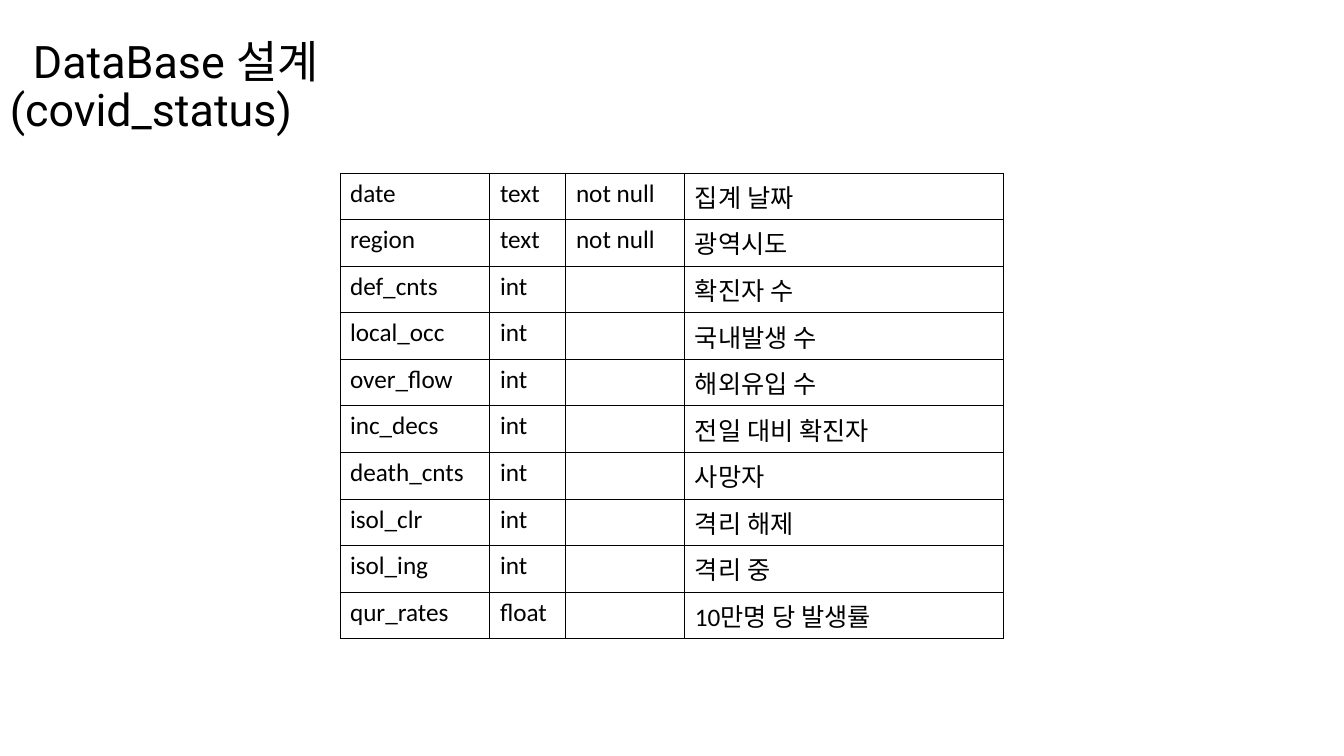
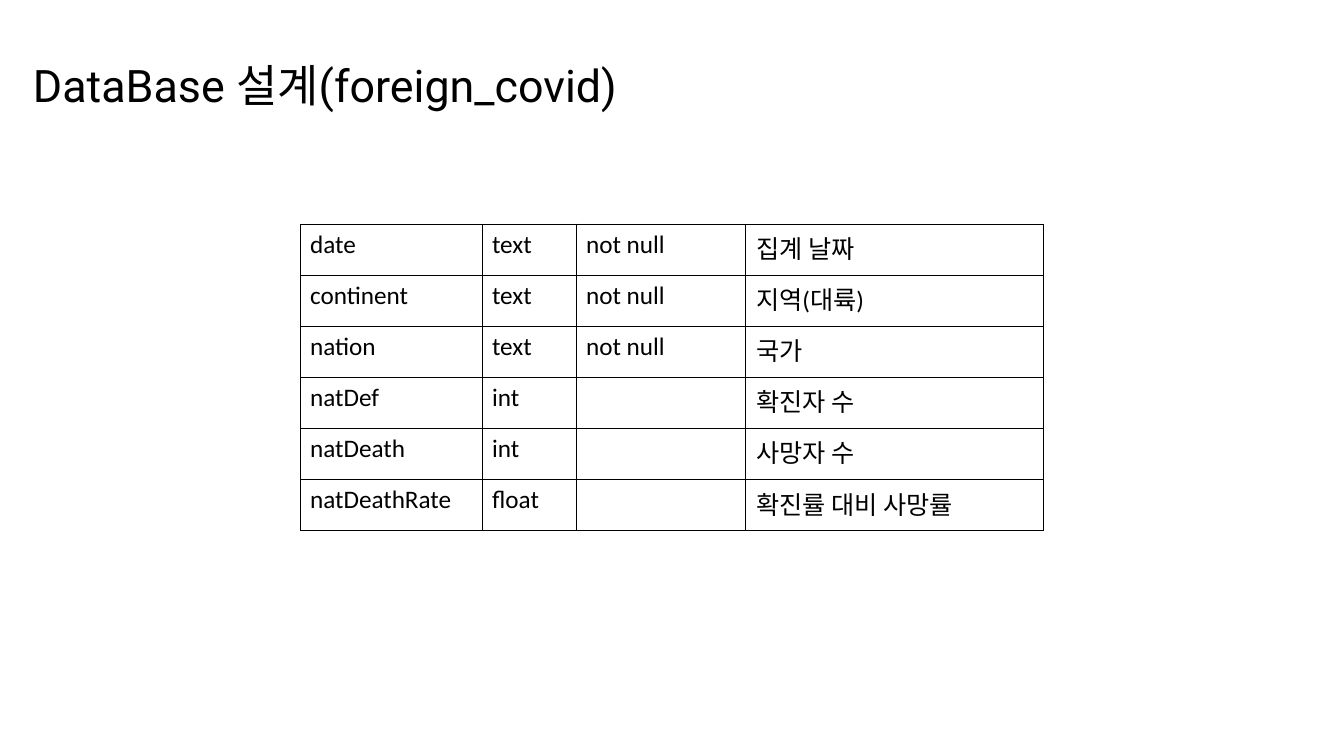
from pptx import Presentation
from pptx.dml.color import RGBColor
from pptx.enum.text import MSO_ANCHOR
from pptx.oxml import parse_xml
from pptx.oxml.ns import nsdecls
from pptx.util import Pt

EMU_PER_PX = 914400 / 100.8
BLACK = "000000"
TITLE_FONT, TABLE_FONT = "Roboto", "Calibri"
TITLE_TOP, TITLE_HEIGHT, TITLE_INDENT = 54, 68, 23
BORDER = Pt(0.75)


def px(length):
    return round(length * EMU_PER_PX)


def style(paragraph, name, size, color=BLACK):
    paragraph.font.name = name
    paragraph.font.size = Pt(size)
    paragraph.font.color.rgb = RGBColor.from_string(color)


schemas = [
    {
        "title": "DataBase 설계(covid_status)",
        "title_width": 599,
        "left": 340,
        "top": 173,
        "columns": [150, 76, 119, 319],
        "height": 466,
        "fields": [
            ("date", "text", "not null", "집계 날짜"),
            ("region", "text", "not null", "광역시도"),
            ("def_cnts", "int", "", "확진자 수"),
            ("local_occ", "int", "", "국내발생 수"),
            ("over_flow", "int", "", "해외유입 수"),
            ("inc_decs", "int", "", "전일 대비 확진자"),
            ("death_cnts", "int", "", "사망자"),
            ("isol_clr", "int", "", "격리 해제"),
            ("isol_ing", "int", "", "격리 중"),
            ("qur_rates", "float", "", "10만명 당 발생률"),
        ],
    },
    {
        "title": "DataBase 설계(foreign_covid)",
        "title_width": 641,
        "left": 300,
        "top": 224,
        "columns": [182, 94, 170, 298],
        "height": 307,
        "fields": [
            ("date", "text", "not null", "집계 날짜"),
            ("continent", "text", "not null", "지역(대륙)"),
            ("nation", "text", "not null", "국가"),
            ("natDef", "int", "", "확진자 수"),
            ("natDeath", "int", "", "사망자 수"),
            ("natDeathRate", "float", "", "확진률 대비 사망률"),
        ],
    },
]

deck = Presentation()
deck.slide_width, deck.slide_height = px(1344), px(756)

for schema in schemas:
    page = deck.slides.add_slide(deck.slide_layouts[6])

    title = page.shapes.add_textbox(
        0, px(TITLE_TOP), px(schema["title_width"]), px(TITLE_HEIGHT)
    ).text_frame
    title.word_wrap = True
    title.vertical_anchor = MSO_ANCHOR.MIDDLE
    heading = title.paragraphs[0]
    heading.text = schema["title"]
    heading.line_spacing = 0.9
    heading._p.get_or_add_pPr().set("indent", str(px(TITLE_INDENT)))
    style(heading, TITLE_FONT, 32)

    # add_table shares the height equally among the rows
    fields, columns = schema["fields"], schema["columns"]
    table = page.shapes.add_table(
        len(fields), len(columns), px(schema["left"]), px(schema["top"]),
        px(sum(columns)), px(schema["height"]),
    ).table
    table.first_row = table.horz_banding = False
    for column, width in zip(table.columns, columns):
        column.width = px(width)
    for row, values in zip(table.rows, fields):
        for cell, value in zip(row.cells, values):
            cell.text = value
            style(cell.text_frame.paragraphs[0], TABLE_FONT, 18)
            for side in ("lnL", "lnR", "lnT", "lnB"):
                cell._tc.get_or_add_tcPr().append(parse_xml(
                    f'<a:{side} {nsdecls("a")} w="{BORDER}"><a:solidFill>'
                    f'<a:srgbClr val="{BLACK}"/></a:solidFill></a:{side}>'
                ))
            cell.fill.background()

deck.save("out.pptx")
